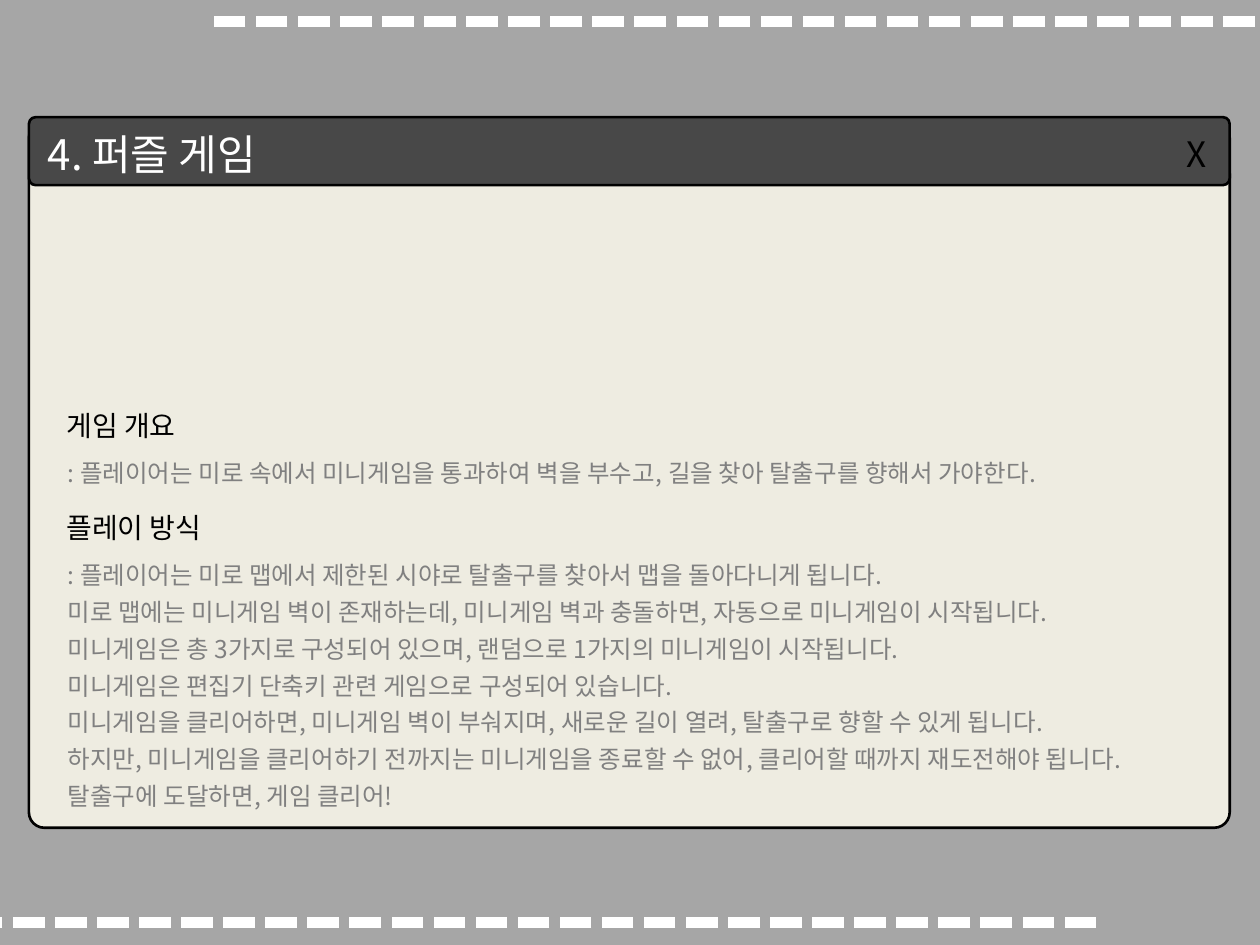
from dataclasses import dataclass

from lxml.etree import SubElement
from pptx import Presentation
from pptx.dml.color import RGBColor as Rgb
from pptx.enum.dml import MSO_LINE_DASH_STYLE as Dash
from pptx.enum.shapes import MSO_CONNECTOR_TYPE as Connector
from pptx.enum.shapes import MSO_AUTO_SHAPE_TYPE as ShapeType
from pptx.enum.text import MSO_ANCHOR as Anchor
from pptx.enum.text import MSO_AUTO_SIZE as AutoSize
from pptx.enum.text import PP_ALIGN as Align
from pptx.oxml.ns import qn
from pptx.util import Inches, Pt

COLORS = {
    "background": "A6A6A6",
    "window": "EEECE1",
    "bar": "484848",
    "black": "000000",
    "white": "FFFFFF",
    "body": "808080",
}
FONT = "Noto Sans CJK KR"
FRAME_FORMAT = {
    "word_wrap": True,
    "auto_size": AutoSize.NONE,
    "vertical_anchor": Anchor.TOP,
}


@dataclass
class Box:
    left: float
    top: float
    width: float
    height: float

    def lengths(self) -> list:
        return [Inches(v) for v in (self.left, self.top, self.width, self.height)]


@dataclass
class Panel:
    box: Box
    rounding: float
    color: str


@dataclass
class Label:
    box: Box
    lines: list[str]
    size: int
    color: str
    align: Align = Align.LEFT
    spacing: float = 1.0


@dataclass
class DashedLine:
    start: float
    end: float
    top: float


def rgb(name: str) -> Rgb:
    return Rgb.from_string(COLORS[name])


def draw_panel(slide, panel: Panel) -> None:
    shape = slide.shapes.add_shape(ShapeType.ROUNDED_RECTANGLE, *panel.box.lengths())
    shape.adjustments[0] = panel.rounding
    shape.shadow.inherit = False
    shape.fill.solid()
    shape.fill.fore_color.rgb = rgb(panel.color)
    shape.line.color.rgb = rgb("black")
    shape.line.width = Pt(1.5)


def write_text(shape, label: Label) -> None:
    frame = shape.text_frame
    for name, value in FRAME_FORMAT.items():
        setattr(frame, name, value)
    paragraph_format = {"alignment": label.align, "line_spacing": label.spacing}
    font_format = {"size": Pt(label.size), "name": FONT}
    for index, line in enumerate(label.lines):
        paragraph = frame.add_paragraph() if index else frame.paragraphs[0]
        for name, value in paragraph_format.items():
            setattr(paragraph, name, value)
        run = paragraph.add_run()
        run.text = line
        run.font.color.rgb = rgb(label.color)
        for name, value in font_format.items():
            setattr(run.font, name, value)
        SubElement(run.font._element, qn("a:ea")).set("typeface", FONT)


def draw_label(slide, label: Label) -> None:
    write_text(slide.shapes.add_textbox(*label.box.lengths()), label)


def draw_title(slide, label: Label) -> None:
    title = slide.shapes.title
    title.left, title.top, title.width, title.height = label.box.lengths()
    write_text(title, label)
    slide.shapes._spTree.append(title._element)


def draw_dashes(slide, dashes: DashedLine) -> None:
    top = Inches(dashes.top)
    connector = slide.shapes.add_connector(
        Connector.STRAIGHT, Inches(dashes.start), top, Inches(dashes.end), top
    )
    connector.line.color.rgb = rgb("white")
    connector.line.width = Pt(6)
    connector.line.dash_style = Dash.SQUARE_DOT
    SubElement(connector._element.spPr, qn("a:effectLst"))


PANELS = [
    Panel(Box(0.23, 0.97, 9.53, 5.6), 0.022, "window"),
    Panel(Box(0.23, 0.93, 9.53, 0.54), 0.1, "bar"),
]
TITLE = Label(Box(0.28, 0.97, 7.27, 0.5), ["4. 퍼즐 게임"], 24, "white")
OVERVIEW = [": 플레이어는 미로 속에서 미니게임을 통과하여 벽을 부수고, 길을 찾아 탈출구를 향해서 가야한다."]
HOW_TO_PLAY = [
    ": 플레이어는 미로 맵에서 제한된 시야로 탈출구를 찾아서 맵을 돌아다니게 됩니다.",
    "미로 맵에는 미니게임 벽이 존재하는데, 미니게임 벽과 충돌하면, 자동으로 미니게임이 시작됩니다.",
    "미니게임은 총 3가지로 구성되어 있으며, 랜덤으로 1가지의 미니게임이 시작됩니다.",
    "미니게임은 편집기 단축키 관련 게임으로 구성되어 있습니다.",
    "미니게임을 클리어하면, 미니게임 벽이 부숴지며, 새로운 길이 열려, 탈출구로 향할 수 있게 됩니다.",
    "하지만, 미니게임을 클리어하기 전까지는 미니게임을 종료할 수 없어, 클리어할 때까지 재도전해야 됩니다.",
    "탈출구에 도달하면, 게임 클리어!",
]
LABELS = [
    Label(Box(9.03, 1, 0.93, 0.44), ["X"], 20, "black", Align.CENTER),
    Label(Box(0.43, 3.19, 1.42, 0.37), ["게임 개요"], 16, "black"),
    Label(Box(0.44, 3.53, 8.66, 0.4), OVERVIEW, 14, "body", spacing=1.25),
    Label(Box(0.43, 4, 1.42, 0.37), ["플레이 방식"], 16, "black"),
    Label(Box(0.44, 4.34, 9.13, 2.16), HOW_TO_PLAY, 14, "body", spacing=1.25),
]
DASHED_LINES = [DashedLine(9.96, 1.69, 0.17), DashedLine(8.7, -0.04, 7.32)]

presentation = Presentation()
presentation.slide_width = Inches(10)
presentation.slide_height = Inches(7.5)
slide = presentation.slides.add_slide(presentation.slide_layouts[5])
slide.background.fill.solid()
slide.background.fill.fore_color.rgb = rgb("background")

for panel in PANELS:
    draw_panel(slide, panel)
draw_title(slide, TITLE)
for label in LABELS:
    draw_label(slide, label)
for dashes in DASHED_LINES:
    draw_dashes(slide, dashes)

presentation.save("out.pptx")
